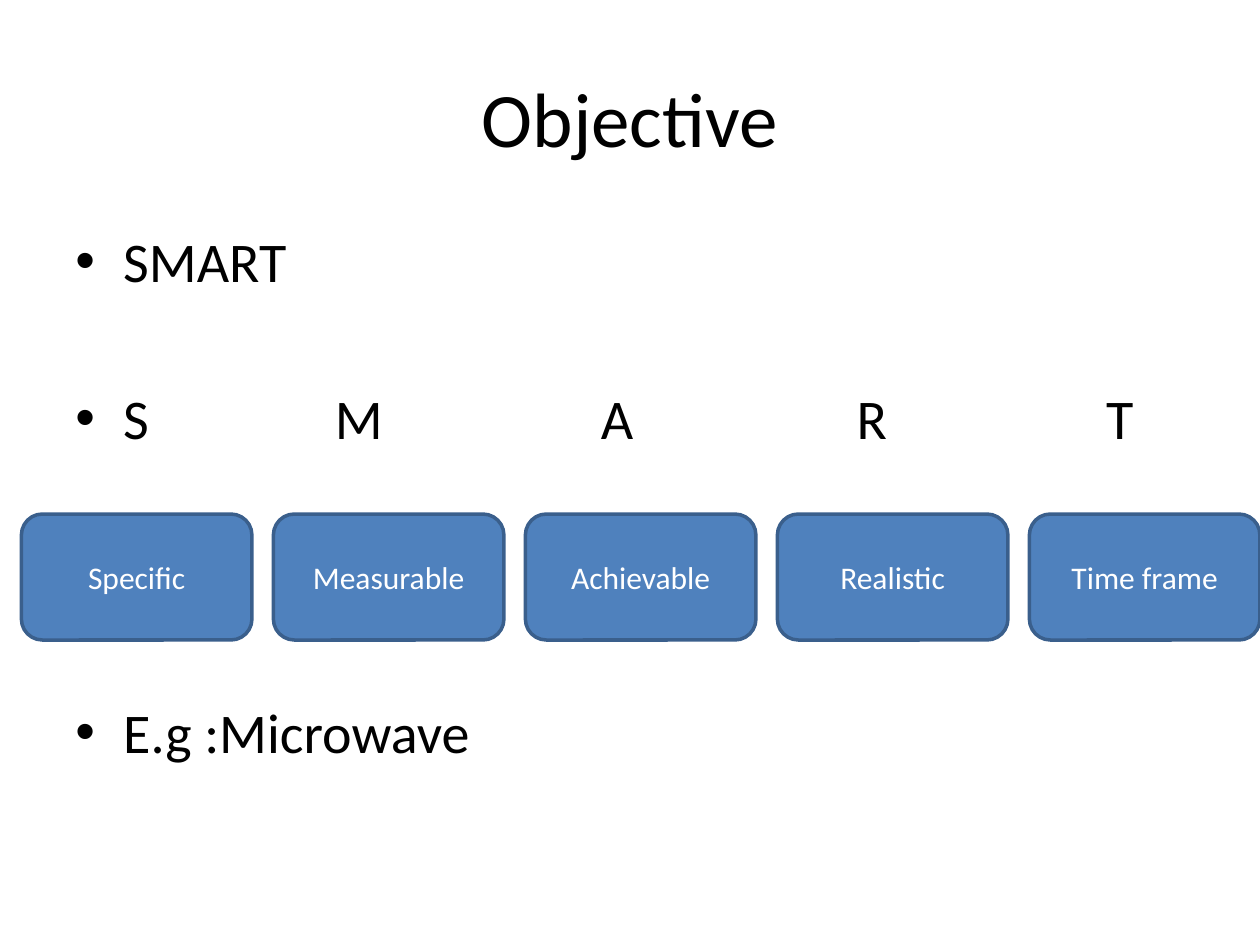
from lxml import etree
from pptx import Presentation
from pptx.dml.color import RGBColor
from pptx.enum.shapes import MSO_SHAPE
from pptx.enum.text import MSO_ANCHOR, PP_ALIGN
from pptx.oxml.ns import qn
from pptx.util import Inches, Pt

ROUNDED = MSO_SHAPE.ROUNDED_RECTANGLE
MIDDLE = MSO_ANCHOR.MIDDLE
CENTER = PP_ALIGN.CENTER

FONT = "Calibri"
BLACK, WHITE = "000000", "FFFFFF"
BLUE, DARK_BLUE = "4F81BD", "3A5F8C"
INDENT = 0.38
LETTER_STOPS = (2.06, 4.17, 6.2, 8.18)

# Text and space before it in points
BULLETS = [
    ("SMART", 6),
    ("S\tM\tA\tR\tT", 51),
    ("E.g :Microwave", 141),
]
CRITERIA = ["Specific", "Measurable", "Achievable", "Realistic", "Time frame"]


def rgb(value):
    return RGBColor.from_string(value)


def style(para, size, color):
    para.font.name = FONT
    para.font.size = Pt(size)
    para.font.color.rgb = rgb(color)


def add_text_box(page, left, top, width, height):
    box = page.shapes.add_textbox(
        Inches(left), Inches(top), Inches(width), Inches(height))
    box.text_frame.word_wrap = True
    return box.text_frame


def add_title(page, left, top, width, height):
    frame = add_text_box(page, left, top, width, height)
    frame.vertical_anchor = MIDDLE
    para = frame.paragraphs[0]
    para.text = "Objective"
    para.alignment = CENTER
    style(para, 44, BLACK)


def set_bullet(para, stops):
    """Give a hanging bullet and left tab stops, in inches."""
    properties = para._p.get_or_add_pPr()
    properties.set("marL", str(Inches(INDENT)))
    properties.set("indent", str(-Inches(INDENT)))
    etree.SubElement(properties, qn("a:buFont"), typeface="Arial")
    etree.SubElement(properties, qn("a:buChar"), char="•")
    if stops:
        tabs = etree.SubElement(properties, qn("a:tabLst"))
        for stop in stops:
            etree.SubElement(tabs, qn("a:tab"), pos=str(Inches(stop)), algn="l")


def add_bullets(page, left, top, width, height):
    frame = add_text_box(page, left, top, width, height)
    for index, (text, space) in enumerate(BULLETS):
        para = frame.add_paragraph() if index else frame.paragraphs[0]
        para.text = text
        set_bullet(para, LETTER_STOPS if "\t" in text else ())
        para.space_before = Pt(space)
        style(para, 32, BLACK)


def add_criteria(page, left, top, width, height, gap):
    """Fill the given box with one row of equal cards."""
    pitch = (width + gap) / len(CRITERIA)
    for index, name in enumerate(CRITERIA):
        card = page.shapes.add_shape(
            ROUNDED, Inches(left + index * pitch), Inches(top),
            Inches(pitch - gap), Inches(height))
        card.shadow.inherit = False
        card.fill.solid()
        card.fill.fore_color.rgb = rgb(BLUE)
        card.line.color.rgb = rgb(DARK_BLUE)
        card.line.width = Pt(2)
        card.text_frame.vertical_anchor = MIDDLE
        para = card.text_frame.paragraphs[0]
        para.text = name
        para.alignment = CENTER
        style(para, 18, WHITE)


def main():
    deck = Presentation()
    deck.slide_width, deck.slide_height = Inches(10), Inches(7.5)
    page = deck.slides.add_slide(deck.slide_layouts[6])
    add_title(page, 0.5, 0.3, 9, 1.25)
    add_bullets(page, 0.5, 1.75, 9, 4.95)
    add_criteria(page, 0.17, 4.08, 9.83, 1, 0.17)
    deck.save("out.pptx")


if __name__ == "__main__":
    main()
